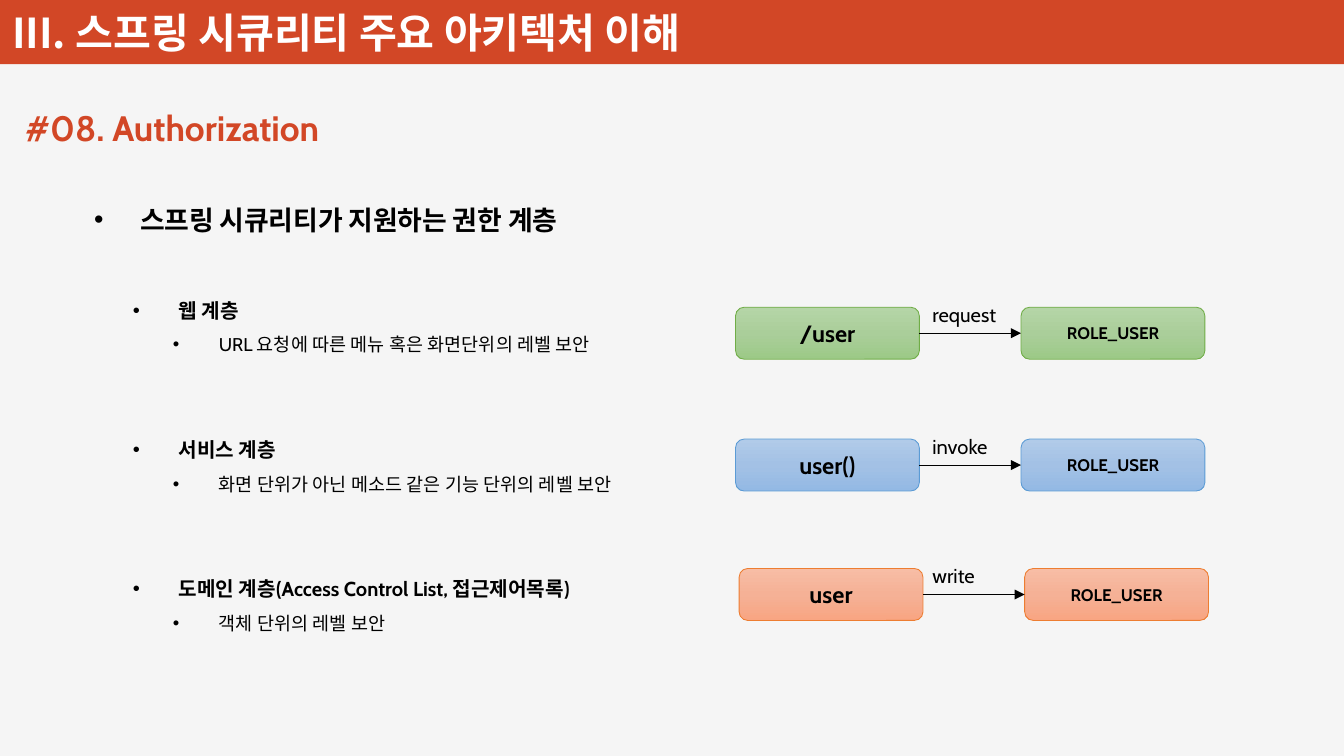
import copy
import pptx
import pptx.util
import pptx.dml.color
import pptx.enum.shapes
import pptx.enum.text
import pptx.oxml
import pptx.oxml.ns

Inches, Pt = pptx.util.Inches, pptx.util.Pt
RGBColor = pptx.dml.color.RGBColor
Shapes = pptx.enum.shapes.MSO_SHAPE
Anchor = pptx.enum.text.MSO_ANCHOR
Align = pptx.enum.text.PP_ALIGN

PAPER = RGBColor(0xF5, 0xF5, 0xF5)
RED = RGBColor(0xD2, 0x47, 0x26)
WHITE = RGBColor(0xFF, 0xFF, 0xFF)
BLACK = RGBColor(0, 0, 0)
# Each palette: line, then gradient from top to bottom
GREEN = [RGBColor.from_string(c) for c in ("70AD47", "B5D5A7", "AACE9A", "9CC987")]
BLUE = [RGBColor.from_string(c) for c in ("5B9BD5", "B1CBE9", "A3C1E5", "93B9E4")]
ORANGE = [RGBColor.from_string(c) for c in ("ED7D31", "F7BDA5", "F5B196", "F8A582")]

# Content
TITLE = "III. 스프링 시큐리티 주요 아키텍처 이해"
SECTION = "#08. Authorization"
# Level, space before in points, text
OUTLINE = [
    (0, 0, "스프링 시큐리티가 지원하는 권한 계층"),
    (1, 30, "웹 계층"),
    (2, 0, "URL 요청에 따른 메뉴 혹은 화면단위의 레벨 보안"),
    (1, 41.5, "서비스 계층"),
    (2, 0, "화면 단위가 아닌 메소드 같은 기능 단위의 레벨 보안"),
    (1, 41.5, "도메인 계층(Access Control List, 접근제어목록)"),
    (2, 0, "객체 단위의 레벨 보안"),
]
# Left, top, resource, action, action width, palette
FLOWS = [
    (6.08, 2.54, "/user", "request", 0.76, GREEN),
    (6.08, 3.63, "user()", "invoke", 0.68, BLUE),
    (6.11, 4.70, "user", "write", 0.57, ORANGE),
]
ROLE = "ROLE_USER"

# Formats
TITLE_FONT = dict(name="Noto Sans CJK KR", size=Pt(24.5), bold=True)
SECTION_FONT = dict(name="Cabin", size=Pt(21), bold=True)
LEVEL_FONTS = [
    dict(name="Cabin", size=Pt(16), bold=True),
    dict(name="Cabin", size=Pt(12), bold=True),
    dict(name="Cabin", size=Pt(11), bold=False),
]
RESOURCE_FONT = dict(name="Cabin", size=Pt(14), bold=True)
ROLE_FONT = dict(name="Cabin", size=Pt(10), bold=True)
ACTION_FONT = dict(name="Cabin", size=Pt(12), bold=False)
LEVEL_INDENTS = (0.38, 0.70, 1.03)
HANGING = 0.38
BOX_WIDTH, BOX_HEIGHT, BOX_STEP = 1.52, 0.43, 2.36


def write(para, text, font, color):
    span = para.add_run()
    span.text = text
    for key, value in font.items():
        setattr(span.font, key, value)
    span.font.color.rgb = color
    east = pptx.oxml.parse_xml(
        '<a:ea %s typeface="%s"/>' % (pptx.oxml.ns.nsdecls("a"), font["name"]))
    span.font._element.find(pptx.oxml.ns.qn("a:latin")).addnext(east)


def add_text(page, place, wrap):
    frame = page.shapes.add_textbox(*map(Inches, place)).text_frame
    frame.word_wrap = wrap
    return frame


def add_band(page, place, color):
    band = page.shapes.add_shape(Shapes.RECTANGLE, *map(Inches, place))
    band.shadow.inherit = False
    band.fill.solid()
    band.fill.fore_color.rgb = color
    band.line.fill.background()


def add_bullet(para, level):
    props = para._p.get_or_add_pPr()
    props.set("marL", str(Inches(LEVEL_INDENTS[level])))
    props.set("indent", str(-Inches(HANGING)))
    for markup in ('<a:buFont %s typeface="Arial"/>', '<a:buChar %s char="•"/>'):
        props.append(pptx.oxml.parse_xml(markup % pptx.oxml.ns.nsdecls("a")))


def add_box(page, left, top, text, font, palette):
    box = page.shapes.add_shape(Shapes.ROUNDED_RECTANGLE, *map(
        Inches, (left, top, BOX_WIDTH, BOX_HEIGHT)))
    box.shadow.inherit = False
    box.line.color.rgb = palette[0]
    box.line.width = Pt(0.5)
    box.fill.gradient()
    box.fill.gradient_angle = 270
    stops = box._element.spPr.find(".//" + pptx.oxml.ns.qn("a:gsLst"))
    stops.insert(1, copy.deepcopy(stops[0]))
    for stop, position, color in zip(box.fill.gradient_stops, (0, 0.5, 1), palette[1:]):
        stop.position = position
        stop.color.rgb = color
    box.text_frame.vertical_anchor = Anchor.MIDDLE
    para = box.text_frame.paragraphs[0]
    para.alignment = Align.CENTER
    write(para, text, font, BLACK)
    return box


def add_arrow(page, source, target):
    arrow = page.shapes.add_connector(
        pptx.enum.shapes.MSO_CONNECTOR.STRAIGHT, 0, 0, 0, 0)
    arrow.begin_connect(source, 3)
    arrow.end_connect(target, 1)
    arrow.line.color.rgb = BLACK
    arrow.line.width = Pt(0.5)
    names = pptx.oxml.ns.nsdecls("a")
    arrow.line._get_or_add_ln().append(
        pptx.oxml.parse_xml('<a:tailEnd %s type="triangle"/>' % names))
    arrow._element.spPr.append(pptx.oxml.parse_xml("<a:effectLst %s/>" % names))


def main():
    deck = pptx.Presentation()
    deck.slide_width, deck.slide_height = Inches(11.11), Inches(6.25)
    page = deck.slides.add_slide(deck.slide_layouts[6])

    # Background and title band
    add_band(page, (0, 0, 11.11, 6.25), PAPER)
    add_band(page, (0, 0, 11.11, 0.53), RED)
    frame = add_text(page, (0.01, -0.1, 6.72, 0.61), True)
    frame.vertical_anchor = Anchor.BOTTOM
    for side, inset in dict(left=0.09, top=0.04, right=0.09, bottom=0.04).items():
        setattr(frame, "margin_" + side, Inches(inset))
    write(frame.paragraphs[0], TITLE, TITLE_FONT, WHITE)

    # Outline
    frame = add_text(page, (0.68, 1.5, 4.82, 3.78), True)
    for number, (level, gap, text) in enumerate(OUTLINE):
        para = frame.add_paragraph() if number else frame.paragraphs[0]
        para.level = level
        para.line_spacing = 1.5
        para.space_before = Pt(gap)
        add_bullet(para, level)
        write(para, text, LEVEL_FONTS[level], BLACK)

    # Section heading
    frame = add_text(page, (0.11, 0.83, 2.8, 0.45), False)
    write(frame.paragraphs[0], SECTION, SECTION_FONT, RED)

    # Resource to role flows
    for left, top, resource, action, width, palette in FLOWS:
        source = add_box(page, left, top, resource, RESOURCE_FONT, palette)
        target = add_box(page, left + BOX_STEP, top, ROLE, ROLE_FONT, palette)
        add_arrow(page, source, target)
        frame = add_text(page, (7.61, top - 0.09, width, 0.3), False)
        write(frame.paragraphs[0], action, ACTION_FONT, BLACK)

    deck.save("out.pptx")


if __name__ == "__main__":
    main()
